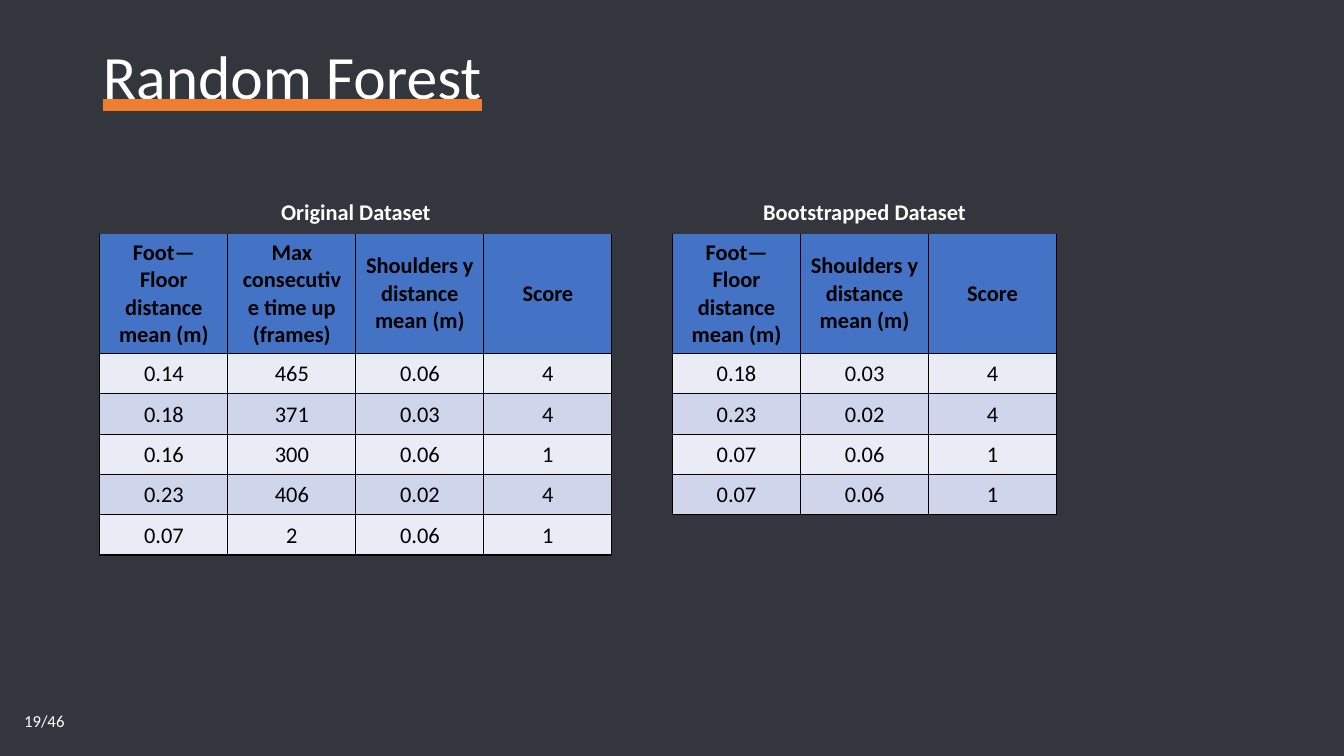
from lxml import etree
from pptx import Presentation
from pptx.dml.color import RGBColor
from pptx.enum.text import MSO_ANCHOR, MSO_UNDERLINE, PP_ALIGN
from pptx.oxml.ns import qn
from pptx.util import Inches, Pt

MIDDLE = MSO_ANCHOR.MIDDLE
CENTER = PP_ALIGN.CENTER
HEAVY = MSO_UNDERLINE.HEAVY_LINE
TITLE_ONLY_LAYOUT = 5

BACKGROUND = RGBColor(0x33, 0x36, 0x3C)
WHITE = RGBColor(0xFF, 0xFF, 0xFF)
BLACK = RGBColor(0x00, 0x00, 0x00)
ORANGE = RGBColor(0xED, 0x7D, 0x31)
HEADER_BLUE = RGBColor(0x44, 0x72, 0xC4)
BANDS = (RGBColor(0xE9, 0xEB, 0xF5), RGBColor(0xCF, 0xD5, 0xEA))

FONT = "Calibri"
COLUMN_WIDTH = 1.27
CAPTION_HEIGHT = 0.42
HEADER_HEIGHT = 0.98
ROW_HEIGHT = 0.4

FOOT = "Foot—Floor distance mean (m)"
TIME_UP = "Max consecutive time up (frames)"
SHOULDERS = "Shoulders y distance mean (m)"
SCORE = "Score"

ORIGINAL_ROWS = (
    (FOOT, TIME_UP, SHOULDERS, SCORE),
    ("0.14", "465", "0.06", "4"),
    ("0.18", "371", "0.03", "4"),
    ("0.16", "300", "0.06", "1"),
    ("0.23", "406", "0.02", "4"),
    ("0.07", "2", "0.06", "1"),
)
BOOTSTRAPPED_ROWS = (
    (FOOT, SHOULDERS, SCORE),
    ("0.18", "0.03", "4"),
    ("0.23", "0.02", "4"),
    ("0.07", "0.06", "1"),
    ("0.07", "0.06", "1"),
)


def style_font(font, size, color, bold=False):
    font.name = FONT
    font.size = Pt(size)
    font.bold = bold
    font.color.rgb = color


def add_solid_fill(parent, color):
    fill = etree.SubElement(parent, qn("a:solidFill"))
    etree.SubElement(fill, qn("a:srgbClr"), val=str(color))


def set_borders(cell, visible_sides):
    properties = cell._tc.get_or_add_tcPr()
    for position, side in enumerate("LRTB"):
        line = etree.Element(qn(f"a:ln{side}"), w=str(Pt(1)))
        if side in visible_sides:
            add_solid_fill(line, BLACK)
        else:
            etree.SubElement(line, qn("a:noFill"))
        properties.insert(position, line)


def format_cell(cell, fill_color, text_color, bold, visible_sides):
    cell.vertical_anchor = MIDDLE
    if fill_color is None:
        cell.fill.background()
    else:
        cell.fill.solid()
        cell.fill.fore_color.rgb = fill_color
    set_borders(cell, visible_sides)
    paragraph = cell.text_frame.paragraphs[0]
    paragraph.alignment = CENTER
    style_font(paragraph.font, 16, text_color, bold)


def add_title(slide, text, left, top, width, height):
    title = slide.shapes.title
    title.left, title.top = Inches(left), Inches(top)
    title.width, title.height = Inches(width), Inches(height)
    title.text_frame.vertical_anchor = MIDDLE
    paragraph = title.text_frame.paragraphs[0]
    paragraph.alignment = PP_ALIGN.LEFT
    paragraph.line_spacing = 0.9
    run = paragraph.add_run()
    run.text = text
    style_font(run.font, 44, WHITE)
    run.font.underline = HEAVY
    underline_fill = etree.Element(qn("a:uFill"))
    add_solid_fill(underline_fill, ORANGE)
    run._r.rPr.find(qn("a:latin")).addprevious(underline_fill)


def add_dataset(slide, caption, rows, left, top):
    column_count = len(rows[0])
    heights = [CAPTION_HEIGHT, HEADER_HEIGHT] + [ROW_HEIGHT] * (len(rows) - 1)
    table = slide.shapes.add_table(
        len(heights), column_count, Inches(left), Inches(top),
        Inches(COLUMN_WIDTH * column_count), Inches(sum(heights)),
    ).table
    table.first_row = False
    table.horz_banding = False
    for column in table.columns:
        column.width = Inches(COLUMN_WIDTH)
    for row, height in zip(table.rows, heights):
        row.height = Inches(height)

    table.cell(0, 0).merge(table.cell(0, column_count - 1))
    table.cell(0, 0).text = caption
    for column_index in range(column_count):
        format_cell(table.cell(0, column_index), None, WHITE, True, "")

    for row_index, values in enumerate(rows, start=1):
        for column_index, value in enumerate(values):
            cell = table.cell(row_index, column_index)
            cell.text = value
            if row_index == 1:
                format_cell(cell, HEADER_BLUE, BLACK, True, "LRB")
            else:
                cell.margin_left = cell.margin_right = Inches(0.01)
                cell.margin_top, cell.margin_bottom = Inches(0.01), 0
                format_cell(cell, BANDS[row_index % 2], BLACK, False, "LRTB")


def add_page_number(slide, text, left, top, width, height):
    box = slide.shapes.add_textbox(
        Inches(left), Inches(top), Inches(width), Inches(height))
    box.text_frame.word_wrap = True
    box.text_frame.vertical_anchor = MIDDLE
    paragraph = box.text_frame.paragraphs[0]
    paragraph.text = text
    style_font(paragraph.font, 12, WHITE)


def main():
    presentation = Presentation()
    presentation.slide_width = Inches(13.33)
    presentation.slide_height = Inches(7.5)
    slide = presentation.slides.add_slide(
        presentation.slide_layouts[TITLE_ONLY_LAYOUT])
    slide.background.fill.solid()
    slide.background.fill.fore_color.rgb = BACKGROUND
    add_title(slide, "Random Forest", 0.92, 0.4, 4.31, 0.77)
    add_dataset(slide, "Original Dataset", ORIGINAL_ROWS, 0.99, 1.9)
    add_dataset(slide, "Bootstrapped Dataset", BOOTSTRAPPED_ROWS, 6.67, 1.9)
    add_page_number(slide, "19/46", 0.14, 6.95, 3, 0.4)
    presentation.save("out.pptx")


if __name__ == "__main__":
    main()
